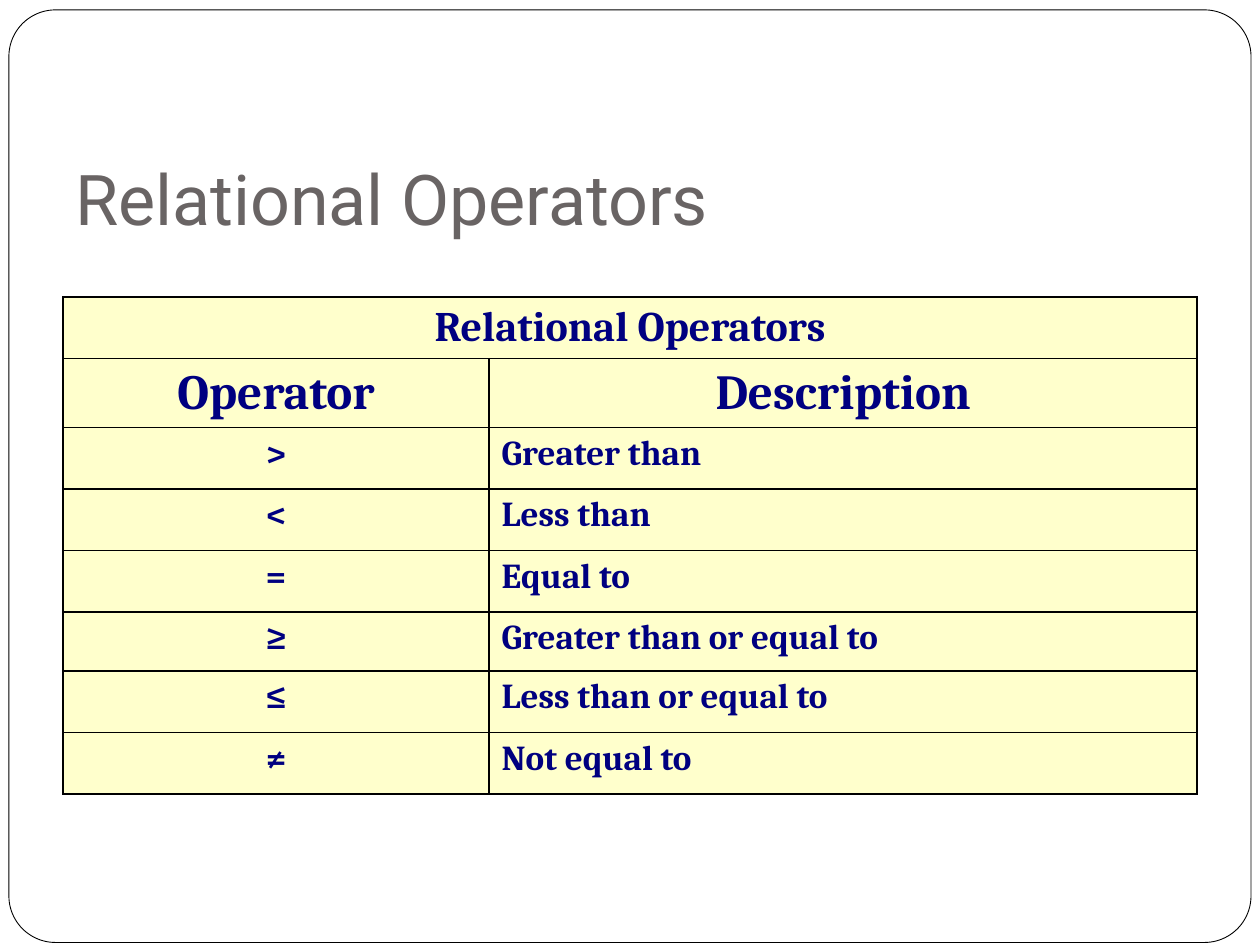
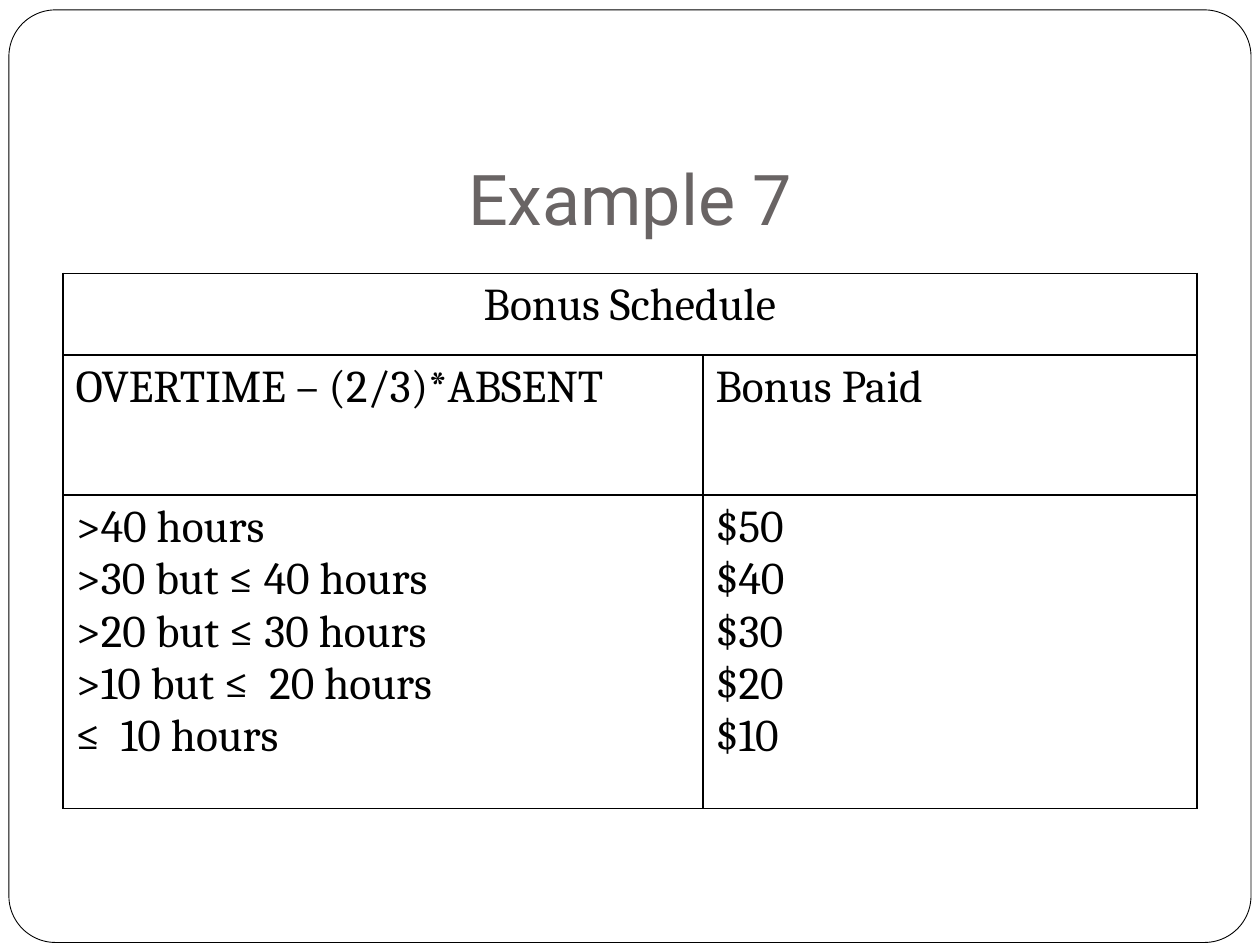
from lxml import etree
from pptx import Presentation
from pptx import util as u
from pptx.dml.color import RGBColor
from pptx.enum import shapes, text
from pptx.oxml.ns import qn

COLOURS = {"title": "696464", "ink": "000000", "paper": "FFFFFF",
           "navy": "000080", "cream": "FFFFCC"}
LEFT, CENTRE = text.PP_ALIGN.LEFT, text.PP_ALIGN.CENTER


def write(frame, content, font="Cambria", size=20, colour="ink", bold=False,
          align=LEFT, hanging=0):
    """Fill a text frame, one paragraph per line; hanging is the indent in cm."""
    frame.text = content
    for para in frame.paragraphs:
        para.alignment = align
        if hanging:
            properties = para._p.get_or_add_pPr()
            properties.set("marL", str(u.Cm(hanging)))
            properties.set("indent", str(-u.Cm(hanging)))
        for span in para.runs:
            span.font.name = font
            span.font.size = u.Pt(size)
            span.font.bold = bold
            span.font.color.rgb = RGBColor.from_string(COLOURS[colour])


def add_borders(cell):
    for side in ("lnL", "lnR", "lnT", "lnB"):
        line = etree.SubElement(cell._tc.get_or_add_tcPr(), qn(f"a:{side}"), w=str(u.Pt(1)))
        fill = etree.SubElement(line, qn("a:solidFill"))
        etree.SubElement(fill, qn("a:srgbClr"), val=COLOURS["ink"])


operators = [(">", "Greater than"), ("<", "Less than"), ("=", "Equal to"),
             ("≥", "Greater than or equal to"), ("≤", "Less than or equal to"),
             ("≠", "Not equal to")]
bonuses = [(">40 hours", "$50"), (">30 but ≤ 40 hours", "$40"),
           (">20 but ≤ 30 hours", "$30"), (">10 but ≤  20 hours", "$20"),
           ("≤  10 hours", "$10")]

# Each row style lists the sizes of the first rows; the last size repeats.
pages = [
    {"title": "Relational Operators", "title_align": LEFT, "top": 5.99,
     "columns": [8.59, 14.27], "heights": [1.24] * 5 + [1.19] + [1.24] * 2,
     "rows": [("Relational Operators", ""), ("Operator", "Description"), *operators],
     "sizes": [24, 28] + [20] * len(operators), "colour": "navy", "bold": True,
     "fill": "cream", "centred": lambda row, column: row < 2 or column == 0},
    {"title": "Example 7", "title_align": CENTRE, "top": 5.51,
     "columns": [12.9, 9.96], "heights": [1.65, 2.82, 6.32],
     "rows": [("Bonus Schedule", ""), ("OVERTIME – (2/3)*ABSENT", "Bonus Paid"),
              ["\n".join(column) for column in zip(*bonuses)]],
     "sizes": [26] * 3, "colour": "ink", "bold": False,
     "fill": None, "centred": lambda row, column: row == 0},
]

deck = Presentation()
deck.slide_width, deck.slide_height = u.Cm(25.4), u.Cm(19.05)

for content in pages:
    page = deck.slides.add_slide(deck.slide_layouts[5])

    frame = page.shapes.add_shape(shapes.MSO_SHAPE.ROUNDED_RECTANGLE,
                                  u.Cm(0.18), u.Cm(0.2), u.Cm(25.04), u.Cm(18.8))
    frame.adjustments[0] = 0.05
    frame.shadow.inherit = False
    frame.fill.solid()
    frame.fill.fore_color.rgb = RGBColor.from_string(COLOURS["paper"])
    frame.line.color.rgb = RGBColor.from_string(COLOURS["ink"])
    frame.line.width = u.Pt(0.5)

    title = page.shapes.title
    title._element.addprevious(frame._element)  # keeps the frame behind the title
    title.left, title.top, title.width, title.height = (
        u.Cm(1.27), u.Cm(1.27), u.Cm(22.86), u.Cm(3.81))
    box = title.text_frame
    box.auto_size = text.MSO_AUTO_SIZE.NONE
    box.vertical_anchor = text.MSO_ANCHOR.BOTTOM
    box.margin_left = box.margin_right = box.margin_bottom = u.Cm(0.25)
    box.margin_top = u.Cm(0.13)
    write(box, content["title"], font="Roboto", size=40, colour="title",
          align=content["title_align"])

    table = page.shapes.add_table(
        len(content["rows"]), 2, u.Cm(1.27), u.Cm(content["top"]),
        u.Cm(22.86), u.Cm(sum(content["heights"]))).table
    table.first_row = table.horz_banding = False
    for column, width in zip(table.columns, content["columns"]):
        column.width = u.Cm(width)
    for row, height in zip(table.rows, content["heights"]):
        row.height = u.Cm(height)
    table.cell(0, 0).merge(table.cell(0, 1))

    for r, (row, size) in enumerate(zip(content["rows"], content["sizes"])):
        for c, words in enumerate(row):
            cell = table.cell(r, c)
            add_borders(cell)
            if content["fill"]:
                cell.fill.solid()
                cell.fill.fore_color.rgb = RGBColor.from_string(COLOURS[content["fill"]])
            else:
                cell.fill.background()
            if not cell.is_spanned:
                write(cell.text_frame, words, size=size, colour=content["colour"],
                      bold=content["bold"], hanging=0.97,
                      align=CENTRE if content["centred"](r, c) else LEFT)

deck.save("out.pptx")
